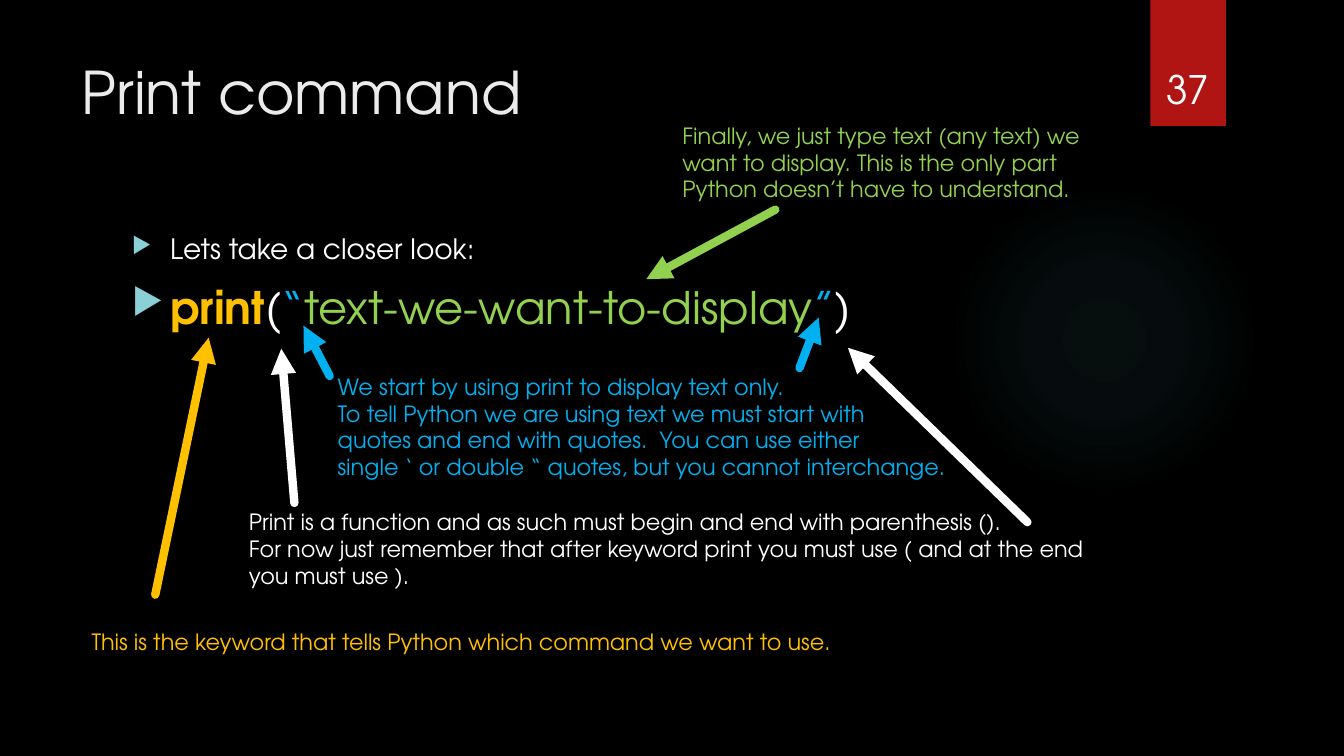
from lxml.etree import SubElement
from pptx import Presentation
from pptx.dml.color import RGBColor
from pptx.enum.shapes import MSO_CONNECTOR as Connector, MSO_SHAPE as Shape
from pptx.enum.text import MSO_ANCHOR as Anchor, MSO_AUTO_SIZE as AutoSize, PP_ALIGN as Align
from pptx.oxml import parse_xml
from pptx.oxml.ns import nsdecls, qn
from pptx.util import Inches, Pt

WHITE, GOLD, GREEN, BLUE = "FFFFFF", "FFC000", "92D050", "00B0F0"
TEAL, RED, TITLE_GREY = "8AD0D6", "B01513", "EBEBEB"


def color(value):
    return RGBColor.from_string(value)


class LessonSlide:
    """A dark slide with annotated code and the style of its elements."""

    font_name = "TeX Gyre Adventor"

    def __init__(self, deck):
        self.slide = deck.slides.add_slide(deck.slide_layouts[5])
        self.shapes = self.slide.shapes
        fill = self.slide.background.fill
        fill.solid()
        fill.fore_color.rgb = color("000000")

    def style(self, paragraph, size, tint=None):
        font = paragraph.font
        font.name, font.size = self.font_name, Pt(size)
        if tint:
            font.color.rgb = color(tint)

    def title(self, text, box):
        heading = self.shapes.title
        heading.left, heading.top, heading.width, heading.height = map(Inches, box)
        frame = heading.text_frame
        frame.text = text
        frame.vertical_anchor = Anchor.TOP
        frame.auto_size = AutoSize.NONE
        frame.paragraphs[0].alignment = Align.LEFT
        self.style(frame.paragraphs[0], 42, TITLE_GREY)

    def panel(self, preset, box, tint):
        panel = self.shapes.add_shape(preset, *map(Inches, box))
        panel.shadow.inherit = False
        panel.line.fill.background()
        panel.fill.solid()
        panel.fill.fore_color.rgb = color(tint)
        return panel

    def glow(self, box, tint, stops):
        properties = self.panel(Shape.OVAL, box, tint)._element.spPr
        marks = "".join(
            f'<a:gs pos="{place * 1000}"><a:srgbClr val="{tint}">'
            f'<a:alpha val="{alpha * 1000}"/></a:srgbClr></a:gs>'
            for place, alpha in stops)
        gradient = parse_xml(
            f'<a:gradFill {nsdecls("a")}><a:gsLst>{marks}</a:gsLst><a:path path="circle">'
            '<a:fillToRect l="50000" t="50000" r="50000" b="50000"/></a:path></a:gradFill>')
        properties.replace(properties.find(qn("a:solidFill")), gradient)

    def text_frame(self, box, wrap=True):
        frame = self.shapes.add_textbox(*map(Inches, box)).text_frame
        frame.word_wrap = wrap
        return frame

    def note(self, lines, box, tint):
        frame = self.text_frame(box, wrap=False)
        frame.auto_size = AutoSize.SHAPE_TO_FIT_TEXT
        frame.text = "\n".join(lines)
        for paragraph in frame.paragraphs:
            self.style(paragraph, 16, tint)

    def number(self, text, box):
        frame = self.text_frame(box)
        frame.vertical_anchor = Anchor.BOTTOM
        frame.text = text
        frame.paragraphs[0].alignment = Align.CENTER
        self.style(frame.paragraphs[0], 28, WHITE)

    def bullets(self, items, box):
        frame = self.text_frame(box)
        for index, (size, pieces) in enumerate(items):
            paragraph = frame.paragraphs[0] if index == 0 else frame.add_paragraph()
            self.bullet(paragraph)
            self.style(paragraph, size)
            if index:
                paragraph.space_before = Pt(10)
            for text, tint, bold in pieces:
                run = paragraph.add_run()
                run.text = text
                run.font.color.rgb = color(tint)
                run.font.bold = bold

    def bullet(self, paragraph):
        properties = paragraph._p.get_or_add_pPr()
        properties.set("marL", str(Inches(0.38)))
        properties.set("indent", str(-Inches(0.38)))
        SubElement(SubElement(properties, qn("a:buClr")), qn("a:srgbClr"), val=TEAL)
        SubElement(properties, qn("a:buSzPct"), val="80000")
        SubElement(properties, qn("a:buChar"), char="▶")

    def arrow(self, start, end, tint):
        arrow = self.shapes.add_connector(Connector.STRAIGHT, *map(Inches, start + end))
        arrow.line.color.rgb = color(tint)
        arrow.line.width = Pt(6)
        outline = arrow.line._get_or_add_ln()
        outline.set("cap", "rnd")
        SubElement(outline, qn("a:round"))
        SubElement(outline, qn("a:tailEnd"), type="triangle")
        SubElement(arrow._element.spPr, qn("a:effectLst"))


def main():
    deck = Presentation()
    deck.slide_width, deck.slide_height = Inches(13.33), Inches(7.5)
    lesson = LessonSlide(deck)

    lesson.glow((9.41, 1.83, 3.08, 3.08), "50B9C1", [(0, 7), (36, 6), (69, 0), (100, 0)])
    lesson.panel(Shape.RECTANGLE, (11.41, 0, 0.75, 1.25), RED)
    lesson.title("Print command", (0.71, 0.5, 10.29, 1.53))
    lesson.bullets([
        (20, [("Lets take a closer look:", WHITE, False)]),
        (32, [("print", GOLD, True), ("(", WHITE, False), ("“", BLUE, False),
              ("text-we-want-to-display", GREEN, False), ("”", BLUE, False),
              (")", WHITE, False)]),
    ], (1.21, 2.25, 9.78, 4.59))
    lesson.number("37", (11.32, 0.32, 0.92, 0.84))

    notes = [
        (["This is the keyword that tells Python which command we want to use."],
         (0.81, 6.18, 7.6, 0.37), GOLD),
        (["Print is a function and as such must begin and end with parenthesis ().",
          "For now just remember that after keyword print you must use ( and at the end",
          "you must use )."], (2.37, 4.99, 8.61, 0.91), WHITE),
        (["We start by using print to display text only.",
          "To tell Python we are using text we must start with",
          "quotes and end with quotes.  You can use either",
          "single ‘ or double “ quotes, but you cannot interchange."],
         (3.25, 3.65, 6.33, 1.18), BLUE),
        (["Finally, we just type text (any text) we",
          "want to display. This is the only part",
          "Python doesn’t have to understand."], (6.67, 1.16, 4.23, 0.91), GREEN),
    ]
    for lines, box, tint in notes:
        lesson.note(lines, box, tint)

    arrows = [
        ((1.54, 5.9), (2.07, 3.35), GOLD),
        ((2.92, 4.99), (2.79, 3.46), WHITE),
        ((10.19, 5.18), (8.41, 3.45), WHITE),
        ((7.69, 2.08), (6.41, 2.77), GREEN),
        ((7.93, 3.65), (8.12, 3.15), BLUE),
        ((3.27, 3.73), (3.01, 3.23), BLUE),
    ]
    for start, end, tint in arrows:
        lesson.arrow(start, end, tint)

    deck.save("out.pptx")


if __name__ == "__main__":
    main()
